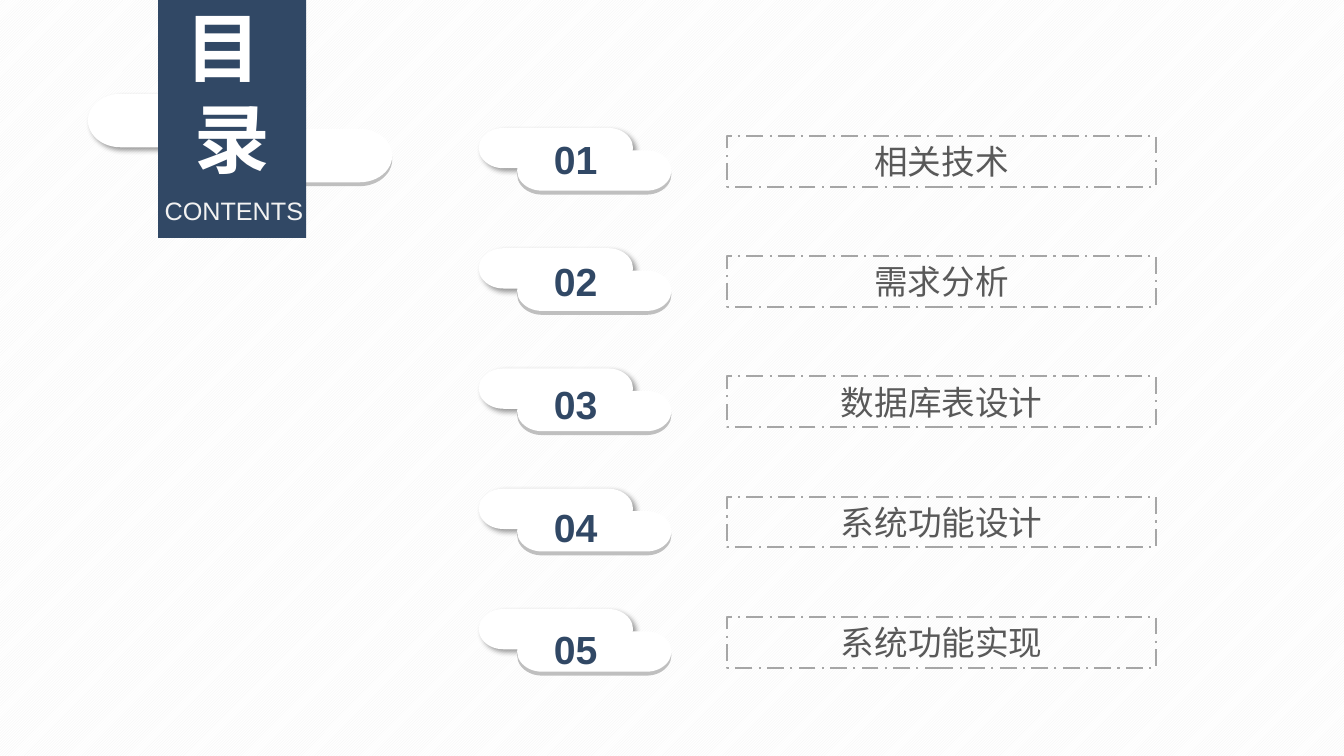
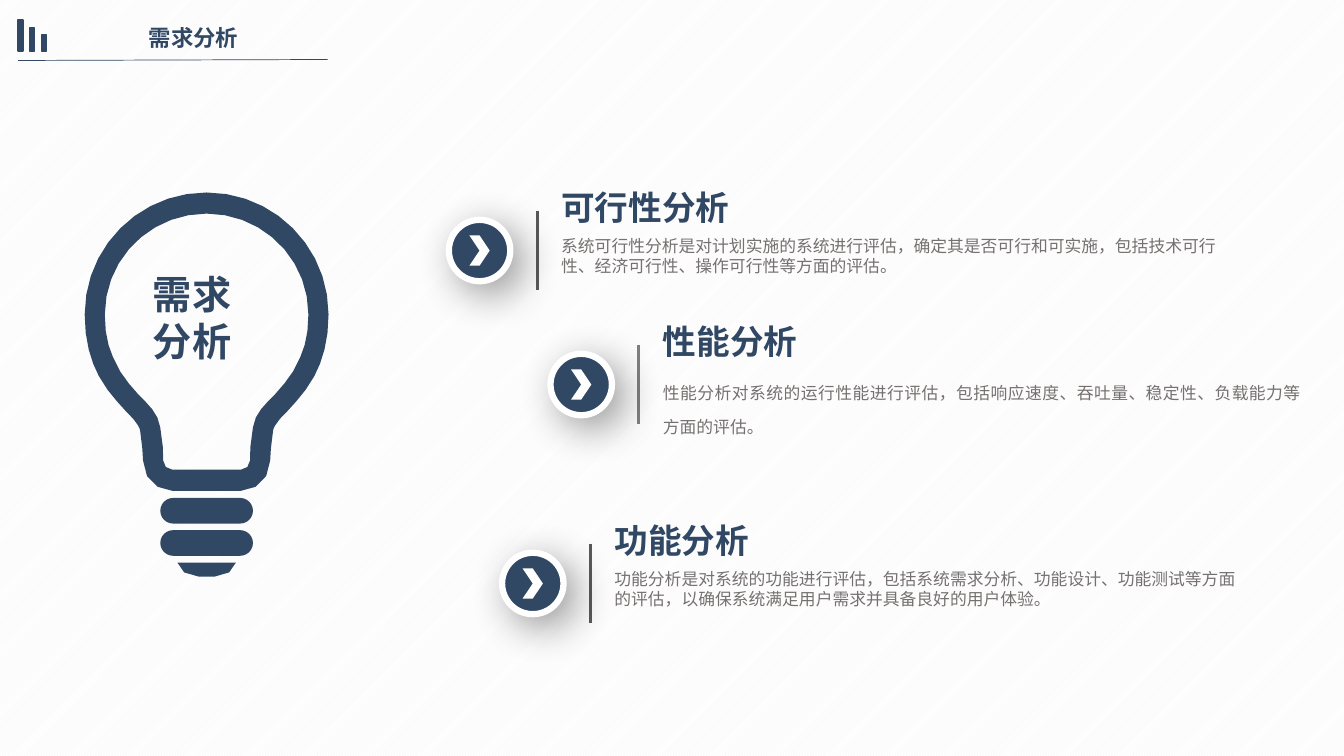
from math import dist as span
from lxml.etree import SubElement
from pptx import Presentation
from pptx.dml.color import RGBColor
from pptx.enum.dml import MSO_LINE as Dash, MSO_PATTERN as Pat
from pptx.enum.shapes import MSO_CONNECTOR as Conn, MSO_SHAPE as Kind
from pptx.enum.text import MSO_ANCHOR as Anchor, MSO_AUTO_SIZE as Fit, PP_ALIGN as Align
from pptx.oxml.ns import qn
from pptx.util import Pt

NAVY = RGBColor(0x31, 0x48, 0x65)
WHITE = RGBColor(0xFF, 0xFF, 0xFF)
PALE = RGBColor(0xF2, 0xF2, 0xF2)
SILVER = RGBColor(0xBF, 0xBF, 0xBF)
ASH = RGBColor(0xA6, 0xA6, 0xA6)
GRAY = RGBColor(0x80, 0x80, 0x80)
DARK = RGBColor(0x59, 0x59, 0x59)
WARM = RGBColor(0x76, 0x71, 0x71)

FONT = "Arial"
MID = {"alignment": Align.CENTER}
LOOSE = {"alignment": Align.JUSTIFY, "line_spacing": Pt(24)}
CENTER = {"vertical_anchor": Anchor.MIDDLE}
TIGHT = dict(CENTER, margin_left=0, margin_right=0, margin_top=0, margin_bottom=0)

TOPICS = ["相关技术", "需求分析", "数据库表设计", "系统功能设计", "系统功能实现"]
# left, top, heading, detail, detail width, detail height, rule colour, paragraph format
POINTS = [
    (320.4, 157, "可行性分析",
     "系统可行性分析是对计划实施的系统进行评估，确定其是否可行和可实施，"
     "包括技术可行性、经济可行性、操作可行性等方面的评估。", 490, 36, DARK, {}),
    (393, 252.7, "性能分析",
     "性能分析对系统的运行性能进行评估，包括响应速度、吞吐量、稳定性、"
     "负载能力等方面的评估。", 470, 52.6, GRAY, LOOSE),
    (358.4, 394.8, "功能分析",
     "功能分析是对系统的功能进行评估，包括系统需求分析、功能设计、功能测试等方面的评估，"
     "以确保系统满足用户需求并具备良好的用户体验。", 460, 36, DARK, {}),
]

# Right half of the bulb: (distance from axis, y), a start and then cubic curves
AXIS = 147.6
GLASS = [
    (0, 137.5),
    (48.1, 137.5), (87.1, 176.5), (87.1, 224.6),
    (87.1, 243.4), (82.8, 257.8), (77, 268.6),
    (71.3, 279.4), (63.4, 287.3), (57.6, 293.8),
    (54, 297.4), (50.4, 301), (49, 303.8),
    (48.2, 305.3), (47.5, 306.7), (47.5, 307.4),
    (46.1, 316.1), (45.4, 326.2), (45.4, 329),
    (45.4, 341.3), (36, 350.6), (24.5, 350.6),
]
HOLLOW = [
    (0, 152.6),
    (40.2, 152.6), (72.7, 184.8), (72.7, 224.6),
    (72.7, 237.6), (70.6, 247), (67, 254.9),
    (62.6, 266.4), (55.4, 274.3), (49, 281.5),
    (45.4, 285.1), (41.8, 288.7), (38.9, 292.3),
    (36, 295.9), (33.8, 300.2), (33.1, 305.3),
    (31, 314.6), (31, 325.4), (31, 329),
    (31, 332.6), (28.1, 335.5), (24.5, 335.5),
]
TIP = [(20.9, 401.8), (20.9, 407.3), (13, 411.8), (5.8, 411.8)]


def assign(obj, vals):
    for key, val in vals.items():
        setattr(obj, key, val)


def points(*nums):
    return [Pt(num) for num in nums]


def write(shape, lines, size, color, bold=False, para={}, frame={}):
    text = shape.text_frame
    assign(text, {"text": lines, "word_wrap": True, "auto_size": Fit.NONE, **frame})
    for par in text.paragraphs:
        assign(par, para)
        for run in par.runs:
            assign(run.font, {"name": FONT, "size": Pt(size), "bold": bold})
            run.font.color.rgb = color


def label(shapes, box, *args, **kw):
    write(shapes.add_textbox(*points(*box)), *args, **kw)


def stroke(line, color, width):
    line.color.rgb = color
    line.width = Pt(width)


def paint(shape, fill=None, edge=None, width=1):
    shape.shadow.inherit = False
    if fill is None:
        shape.fill.background()
    else:
        shape.fill.solid()
        shape.fill.fore_color.rgb = fill
    if edge is None:
        shape.line.fill.background()
    else:
        stroke(shape.line, edge, width)
    return shape


def draw(shapes, kind, box, *look):
    return paint(shapes.add_shape(kind, *points(*box)), *look)


def shade(shape, blur, dist):
    """Cast a soft black shadow to the lower right."""
    effects = shape.element.spPr.find(qn("a:effectLst"))
    outer = SubElement(effects, qn("a:outerShdw"), blurRad=str(Pt(blur)),
                       dist=str(Pt(dist)), dir="2700000", algn="tl", rotWithShape="0")
    black = SubElement(outer, qn("a:srgbClr"), val="000000")
    SubElement(black, qn("a:alpha"), val="40000")


def rule(shapes, ends, color, width):
    line = shapes.add_connector(Conn.STRAIGHT, *points(*ends))
    stroke(line.line, color, width)
    SubElement(line.element.spPr, qn("a:effectLst"))


def page(deck, pattern):
    slide = deck.slides.add_slide(deck.slide_layouts[5])
    fill = slide.background.fill
    fill.patterned()
    fill.pattern = pattern
    fill.fore_color.rgb = PALE
    fill.back_color.rgb = WHITE
    return slide.shapes


def title(shapes, box, *args, **kw):
    """Fill the title placeholder and bring it to the front."""
    head = shapes.title
    assign(head, dict(zip(("left", "top", "width", "height"), points(*box))))
    write(head, *args, **kw)
    head.element.getparent().append(head.element)


def cloud(shapes, x, y, w, h, dx, dy):
    parts = shapes.add_group_shape().shapes
    front = x + dx, y + dy, w, h
    draw(parts, Kind.FLOWCHART_TERMINATOR, (x + dx, y + dy + 2.8, w, h), SILVER)
    shade(draw(parts, Kind.FLOWCHART_TERMINATOR, (x, y, w, h), WHITE), 4, 3)
    draw(parts, Kind.FLOWCHART_TERMINATOR, front, WHITE)
    return parts


def trace(half):
    """Flatten the curves of a half outline and mirror it about the axis."""
    side = [half[0]]
    for i in range(0, len(half) - 1, 3):
        a, b, c, d = half[i:i + 4]
        steps = max(2, round(span(a, d) / 12))
        for n in range(1, steps + 1):
            t = n / steps
            u = 1 - t
            side.append(tuple(
                u**3 * p + 3 * u * u * t * q + 3 * u * t * t * r + t**3 * s
                for p, q, r, s in zip(a, b, c, d)))
    right = [points(AXIS + x, y) for x, y in side]
    left = [points(AXIS - x, y) for x, y in reversed(side)]
    return right + left


def outline(shapes, *halves):
    first, *rest = [trace(half) for half in halves]
    pen = shapes.build_freeform(*first[0])
    pen.add_line_segments(first[1:])
    for ring in rest:
        pen.move_to(*ring[0])
        pen.add_line_segments(ring[1:])
    paint(pen.convert_to_shape(), NAVY)


def bulb(shapes):
    parts = shapes.add_group_shape().shapes
    outline(parts, GLASS, HOLLOW)
    for y in (355.7, 378.7):
        ring = draw(parts, Kind.ROUNDED_RECTANGLE, (AXIS - 33.1, y, 66.2, 18.3), NAVY)
        ring.adjustments[0] = 0.5
    outline(parts, TIP)


def point(shapes, x, y, head, detail, wide, high, color, para):
    rule(shapes, (x + 63.4, y - 6.5, x + 63.4, y + 50.4), color, 2.25)
    label(shapes, (x + 73.4, y + 7.9, wide, high), detail, 12, WARM, para=para)
    label(shapes, (x + 73.4, y - 27.2, 239, 36), head, 24, NAVY, True)
    parts = shapes.add_group_shape().shapes
    shade(draw(parts, Kind.OVAL, (x + 0.2, y, 43.9, 43.9), NAVY, WHITE, 4.5), 30, 10)
    draw(parts, Kind.CHEVRON, (x + 14.9, y + 11.2, 14.5, 21.6), WHITE)


def contents(deck):
    shapes = page(deck, Pat.LIGHT_UPWARD_DIAGONAL)
    cloud(shapes, 62.8, 67, 144.7, 38.2, 72.7, 25)
    draw(shapes, Kind.RECTANGLE, (113, 0, 105.8, 170), NAVY)
    title(shapes, (113, 0, 105.8, 131), "目 \n录", 54, WHITE, True, MID, TIGHT)
    label(shapes, (114.2, 139.4, 105.8, 21.6), "CONTENTS", 18, PALE, para=MID, frame=TIGHT)
    for i, topic in enumerate(TOPICS):
        y = 85.9 * i
        box = draw(shapes, Kind.RECTANGLE, (519.6, 97, 306, 36.3), None, ASH, 1.5)
        box.top = Pt(97 + y)
        box.line.dash_style = Dash.LONG_DASH_DOT
        write(box, topic, 24, DARK, para=MID, frame=CENTER)
        parts = cloud(shapes, 342, 91.4 + y, 110.2, 28.8, 27.4, 16)
        label(parts, (383.8, 92.9 + 87.6 * i, 54.7, 41), f"{i + 1:02}", 28, NAVY, True, para=MID)


def needs(deck):
    shapes = page(deck, Pat.DARK_UPWARD_DIAGONAL)
    for item in POINTS:
        point(shapes, *item)
    bulb(shapes)
    label(shapes, (102.2, 189.4, 91.4, 74.9), "需求分析", 28, NAVY, True)
    rule(shapes, (13, 43.2, 234, 42.5), NAVY, 0.5)
    title(shapes, (42.4, 13.7, 191.5, 26.6), "需求分析", 16, NAVY, True, MID, CENTER)
    for i, high in enumerate((22.3, 16.6, 11.5)):
        draw(shapes, Kind.RECTANGLE, (12.8 + 8.4 * i, 36.5 - high, 3.6, high), NAVY, NAVY)


def main():
    deck = Presentation()
    assign(deck, {"slide_width": Pt(960), "slide_height": Pt(540)})
    contents(deck)
    needs(deck)
    deck.save("out.pptx")


if __name__ == "__main__":
    main()
